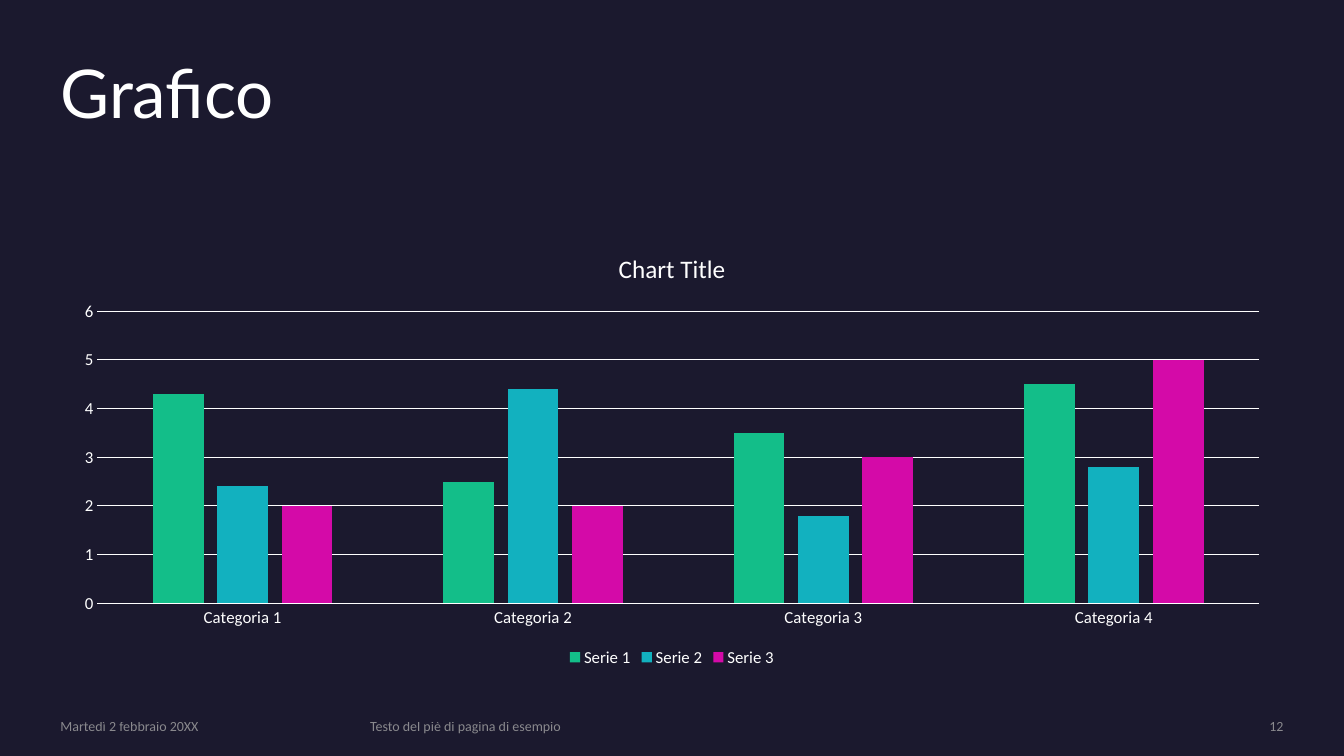
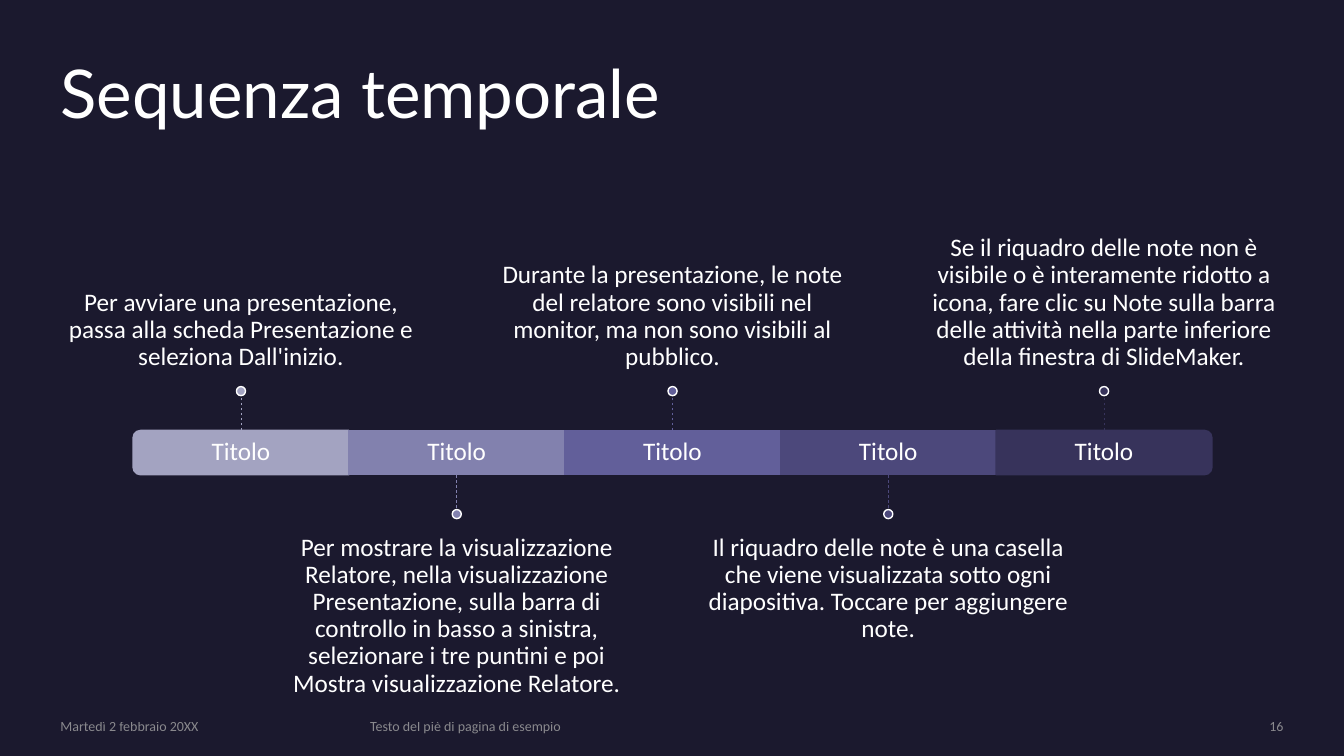
from dataclasses import dataclass

from lxml.etree import SubElement
from pptx import Presentation
from pptx.chart.data import CategoryChartData
from pptx.dml.color import RGBColor
from pptx.enum.chart import XL_CHART_TYPE, XL_LEGEND_POSITION, XL_TICK_MARK
from pptx.enum.dml import MSO_LINE
from pptx.enum.shapes import MSO_CONNECTOR, MSO_SHAPE
from pptx.enum.text import MSO_ANCHOR, MSO_AUTO_SIZE, PP_ALIGN
from pptx.oxml.ns import qn
from pptx.util import Inches, Pt

# Shared geometry, in inches
WIDTH, HEIGHT = 13.33, 7.5
MARGIN = 0.6
CONTENT = WIDTH - 2 * MARGIN
BODY_TOP, BODY_H = 2.31, 4.35
FOOTER_TOP, FOOTER_H = 7.12, 0.17

# Shared style
BACKGROUND, WHITE, GREY = "1B192E", "FFFFFF", "A6A6A6"
HEAD_FONT, BODY_FONT = "Lato", "Calibri"

# Timeline grid: five columns on one bar
COL = 2.14
BAR_LEFT, BAR_MID, BAR_H = 1.32, 4.49, 0.44
NOTE_W, NOTE_H, NOTE_GAP, NOTE_PAD = 3.57, 1.52, 0.66, 0.15
DOT, DOT_GAP = 0.09, 0.61


@dataclass(frozen=True)
class FooterPart:
    left: float
    width: float
    text: str
    align: PP_ALIGN = PP_ALIGN.LEFT


@dataclass(frozen=True)
class Step:
    color: str
    note: str


@dataclass(frozen=True)
class Series:
    name: str
    values: tuple[float, ...]
    color: str


FOOTER = (
    FooterPart(MARGIN, 2.88, "Martedì 2 febbraio 20XX"),
    FooterPart(3.67, 6.98, "Testo del piè di pagina di esempio"),
)

CATEGORIES = [f"Categoria {n}" for n in range(1, 5)]
SERIES = (
    Series("Serie 1", (4.3, 2.5, 3.5, 4.5), "13BE89"),
    Series("Serie 2", (2.4, 4.4, 1.8, 2.8), "12B1BF"),
    Series("Serie 3", (2, 2, 3, 5), "D40AA8"),
)

STEPS = (
    Step("A3A3C1", "Per avviare una presentazione, passa alla scheda Presentazione "
                   "e seleziona Dall'inizio."),
    Step("8281AE", "Per mostrare la visualizzazione Relatore, nella visualizzazione "
                   "Presentazione, sulla barra di controllo in basso a sinistra, "
                   "selezionare i tre puntini e poi Mostra visualizzazione Relatore."),
    Step("625F9A", "Durante la presentazione, le note del relatore sono visibili nel "
                   "monitor, ma non sono visibili al pubblico."),
    Step("4C487B", "Il riquadro delle note è una casella che viene visualizzata sotto "
                   "ogni diapositiva. Toccare per aggiungere note."),
    Step("37335B", "Se il riquadro delle note non è visibile o è interamente ridotto a "
                   "icona, fare clic su Note sulla barra delle attività nella parte "
                   "inferiore della finestra di SlideMaker."),
)


def rgb(color: str) -> RGBColor:
    return RGBColor.from_string(color)


def box(left: float, top: float, width: float, height: float) -> tuple:
    return tuple(Inches(v) for v in (left, top, width, height))


def style_font(font, size: float, color: str = WHITE, name: str = BODY_FONT) -> None:
    font.size, font.name, font.bold = Pt(size), name, False
    font.color.rgb = rgb(color)


def write(sp, text: str, *, size: float = 18, color: str = WHITE, name: str = BODY_FONT,
          align: PP_ALIGN = PP_ALIGN.LEFT, anchor: MSO_ANCHOR = MSO_ANCHOR.TOP,
          spacing: float = 1.0, pad_top: float = 0, pad_bottom: float = 0,
          alpha: int = 100) -> None:
    """Fill a shape with one formatted paragraph."""
    tf = sp.text_frame
    tf.word_wrap, tf.auto_size = True, MSO_AUTO_SIZE.NONE
    tf.vertical_anchor = anchor
    tf.margin_left = tf.margin_right = 0
    tf.margin_top, tf.margin_bottom = Inches(pad_top), Inches(pad_bottom)
    p = tf.paragraphs[0]
    p.alignment, p.line_spacing = align, spacing
    r = p.add_run()
    r.text = text
    style_font(r.font, size, color, name)
    if alpha < 100:
        fill = r._r.find(".//" + qn("a:srgbClr"))
        SubElement(fill, qn("a:alpha")).set("val", str(alpha * 1000))


def add_text(s, left: float, top: float, width: float, height: float,
             text: str, **fmt) -> None:
    write(s.shapes.add_textbox(*box(left, top, width, height)), text, **fmt)


def add_block(s, kind: MSO_SHAPE, left: float, top: float, width: float, height: float,
              fill: str, line: str):
    sp = s.shapes.add_shape(kind, *box(left, top, width, height))
    sp.shadow.inherit = False
    sp.fill.solid()
    sp.fill.fore_color.rgb = rgb(fill)
    sp.line.color.rgb = rgb(line)
    sp.line.width = Pt(1)
    return sp


def add_slide(prs, title: str, number: int):
    """Add a title-only slide with its heading and footer."""
    s = prs.slides.add_slide(prs.slide_layouts[5])
    sp = s.shapes.title
    sp.left, sp.top, sp.width, sp.height = box(MARGIN, MARGIN, CONTENT, 1.46)
    write(sp, title, size=48, name=HEAD_FONT, spacing=0.9)
    page = FooterPart(10.88, 1.85, str(number), PP_ALIGN.RIGHT)
    for part in (*FOOTER, page):
        add_text(s, part.left, FOOTER_TOP, part.width, FOOTER_H, part.text, size=10,
                 color=GREY, alpha=80, align=part.align, anchor=MSO_ANCHOR.MIDDLE)
    return s


def add_column_chart(s) -> None:
    data = CategoryChartData()
    data.categories = CATEGORIES
    for series in SERIES:
        data.add_series(series.name, series.values)
    chart = s.shapes.add_chart(XL_CHART_TYPE.COLUMN_CLUSTERED,
                               *box(MARGIN, BODY_TOP, CONTENT, BODY_H), data).chart
    style_font(chart.font, 10)

    # Title and legend
    chart.has_title = True
    p = chart.chart_title.text_frame.paragraphs[0]
    r = p.add_run()
    r.text = "Chart Title"
    style_font(r.font, 18)
    chart.has_legend = True
    chart.legend.position = XL_LEGEND_POSITION.BOTTOM
    chart.legend.include_in_layout = False
    style_font(chart.legend.font, 12)

    # Axes
    cat_axis, val_axis = chart.category_axis, chart.value_axis
    for axis in (cat_axis, val_axis):
        axis.major_tick_mark = axis.minor_tick_mark = XL_TICK_MARK.NONE
        style_font(axis.tick_labels.font, 12)
    val_axis.minimum_scale, val_axis.maximum_scale, val_axis.major_unit = 0, 6, 1
    val_axis.format.line.fill.background()
    for line in (cat_axis.format.line, val_axis.major_gridlines.format.line):
        line.color.rgb = rgb(WHITE)
        line.width = Pt(0.75)

    # Columns
    plot = chart.plots[0]
    plot.gap_width, plot.overlap, plot.vary_by_categories = 219, -27, False
    for column, series in zip(plot.series, SERIES):
        column.format.fill.solid()
        column.format.fill.fore_color.rgb = rgb(series.color)


def add_segment(s, col: int, color: str):
    """Draw one column of the bar; the outer ends are rounded."""
    center = BAR_LEFT + COL * (col + 0.5)
    turn = {0: 270, len(STEPS) - 1: 90}.get(col)
    kind = MSO_SHAPE.RECTANGLE if turn is None else MSO_SHAPE.ROUND_2_SAME_RECTANGLE
    w, h = (COL, BAR_H) if turn is None else (BAR_H, COL)
    sp = add_block(s, kind, center - w / 2, BAR_MID - h / 2, w, h, color, color)
    sp.rotation = turn or 0
    return sp


def add_step(s, col: int, step: Step) -> None:
    """Draw a segment with its label, stem, dot and note; sides alternate."""
    above = col % 2 == 0
    side = -1 if above else 1
    center = BAR_LEFT + COL * (col + 0.5)
    segment = add_segment(s, col, step.color)
    add_text(s, center - COL / 2, BAR_MID - BAR_H / 2, COL, BAR_H, "Titolo",
             align=PP_ALIGN.CENTER, anchor=MSO_ANCHOR.MIDDLE, spacing=0.9)

    note_top = BAR_MID + side * NOTE_GAP - (NOTE_H if above else 0)
    add_text(s, center - NOTE_W / 2, note_top, NOTE_W, NOTE_H, step.note,
             align=PP_ALIGN.CENTER, spacing=0.9,
             anchor=MSO_ANCHOR.BOTTOM if above else MSO_ANCHOR.TOP,
             pad_top=0 if above else NOTE_PAD, pad_bottom=NOTE_PAD if above else 0)

    dot_mid = BAR_MID + side * DOT_GAP
    stem = s.shapes.add_connector(
        MSO_CONNECTOR.STRAIGHT,
        *box(center, BAR_MID + side * BAR_H / 2, center, dot_mid - side * DOT / 2))
    if segment.rotation == 0:
        stem.begin_connect(segment, 0 if above else 2)
    stem.line.color.rgb = rgb(step.color)
    stem.line.width = Pt(0.5)
    stem.line.dash_style = MSO_LINE.DASH
    SubElement(stem._element.spPr, qn("a:effectLst"))
    add_block(s, MSO_SHAPE.OVAL, center - DOT / 2, dot_mid - DOT / 2, DOT, DOT,
              step.color, WHITE)


def main() -> None:
    prs = Presentation()
    prs.slide_width, prs.slide_height = Inches(WIDTH), Inches(HEIGHT)
    fill = prs.slide_master.background.fill
    fill.solid()
    fill.fore_color.rgb = rgb(BACKGROUND)

    # Chart slide
    add_column_chart(add_slide(prs, "Grafico", 12))

    # Timeline slide
    s = add_slide(prs, "Sequenza temporale", 16)
    for col, step in enumerate(STEPS):
        add_step(s, col, step)

    prs.save("out.pptx")


if __name__ == "__main__":
    main()
